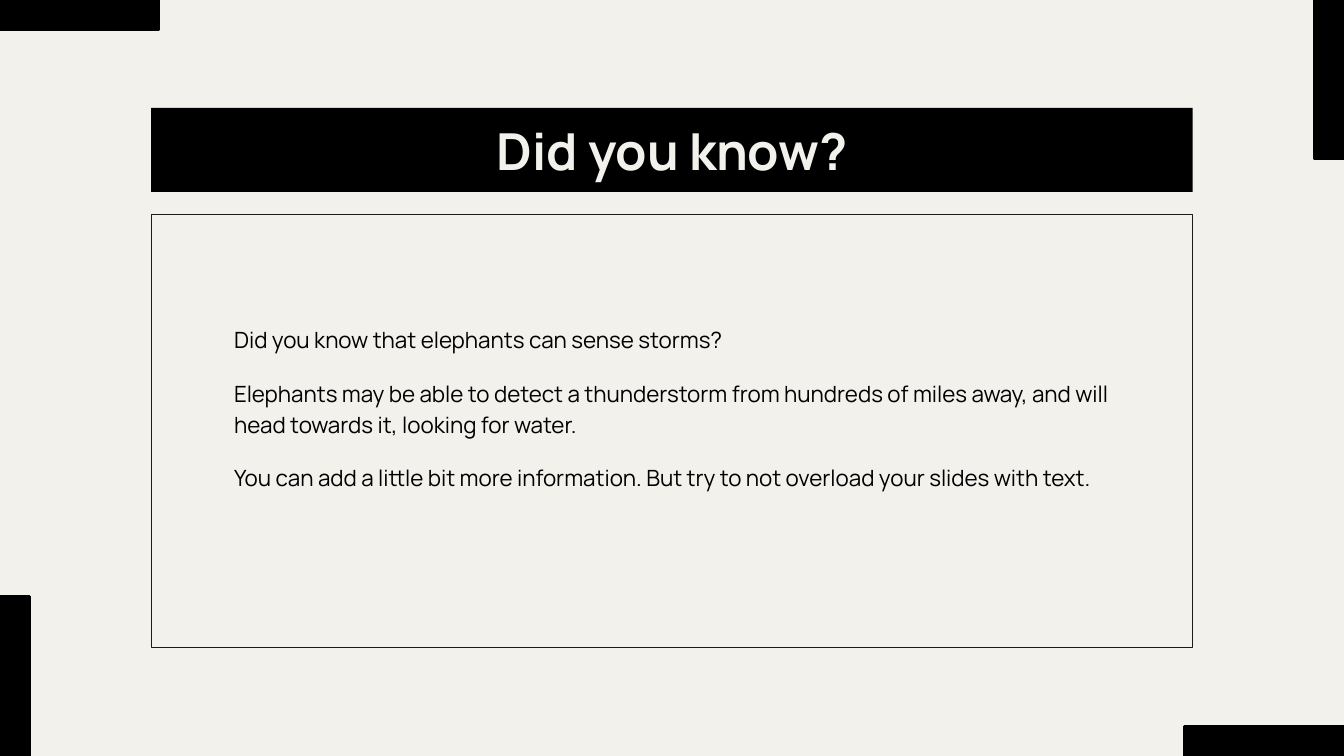
from pptx import Presentation
from pptx.dml.color import RGBColor
from pptx.enum.shapes import MSO_SHAPE
from pptx.enum.text import MSO_ANCHOR, PP_ALIGN
from pptx.util import Cm, Pt

CREAM = RGBColor(0xF3, 0xF1, 0xEC)
BLACK = RGBColor(0, 0, 0)
INK = RGBColor(0x1C, 0x1B, 0x1A)

WIDE, HIGH = 33.87, 19.05
LONG, SHORT = 4.01, 0.74
LEFT, SPAN = 3.81, 26.25

FACTS = [
    "Did you know that elephants can sense storms?",
    "Elephants may be able to detect a thunderstorm from hundreds of miles away, "
    "and will head towards it, looking for water.",
    "You can add a little bit more information. "
    "But try to not overload your slides with text.",
]


class Painter:
    font = "Manrope"
    inset = Cm(0.33)

    def __init__(self, slide):
        self.slide = slide
        back = slide.background.fill
        back.solid()
        back.fore_color.rgb = CREAM

    def box(self, x, y, w, h, fill=None, line=None, weight=1):
        shape = self.slide.shapes.add_shape(
            MSO_SHAPE.RECTANGLE, Cm(x), Cm(y), Cm(w), Cm(h))
        shape.shadow.inherit = False
        if fill is None:
            shape.fill.background()
        else:
            shape.fill.solid()
            shape.fill.fore_color.rgb = fill
        if line is None:
            shape.line.fill.background()
        else:
            shape.line.color.rgb = line
            shape.line.width = Pt(weight)
        return shape

    def frame(self, shape, anchor):
        frame = shape.text_frame
        frame.word_wrap = True
        frame.vertical_anchor = anchor
        frame.margin_left = frame.margin_right = self.inset
        frame.margin_top = frame.margin_bottom = self.inset
        return frame

    def style(self, para, size, color, bold=False):
        for run in para.runs:
            run.font.name = self.font
            run.font.size = Pt(size)
            run.font.bold = bold
            run.font.color.rgb = color

    def title(self, text, x, y, w, h):
        frame = self.frame(self.box(x, y, w, h, BLACK), MSO_ANCHOR.MIDDLE)
        frame.text = text
        para = frame.paragraphs[0]
        para.alignment = PP_ALIGN.CENTER
        self.style(para, 36.4, CREAM, True)

    def body(self, lines, x, y, w, h):
        shape = self.slide.shapes.add_textbox(Cm(x), Cm(y), Cm(w), Cm(h))
        frame = self.frame(shape, MSO_ANCHOR.TOP)
        frame.text = "\n".join(lines)
        for spot, para in enumerate(frame.paragraphs):
            para.line_spacing = 1.15
            if spot:
                para.space_before = Pt(16)
            self.style(para, 16, BLACK)


def main():
    deck = Presentation()
    deck.slide_width, deck.slide_height = Cm(WIDE), Cm(HIGH)
    paint = Painter(deck.slides.add_slide(deck.slide_layouts[6]))

    paint.box(LEFT, 5.4, SPAN, 10.92, line=INK, weight=0.75)
    paint.title("Did you know?", LEFT, 2.72, SPAN, 2.12)
    paint.body(FACTS, 5.57, 7.8, 22.73, 7.32)

    bars = [
        (0, HIGH - LONG, SHORT, LONG),
        (WIDE - SHORT, 0, SHORT, LONG),
        (0, 0, LONG, SHORT),
        (WIDE - LONG, HIGH - SHORT, LONG, SHORT),
    ]
    for bar in bars:
        paint.box(*bar, fill=BLACK, line=BLACK, weight=2)

    deck.save("out.pptx")


if __name__ == "__main__":
    main()
